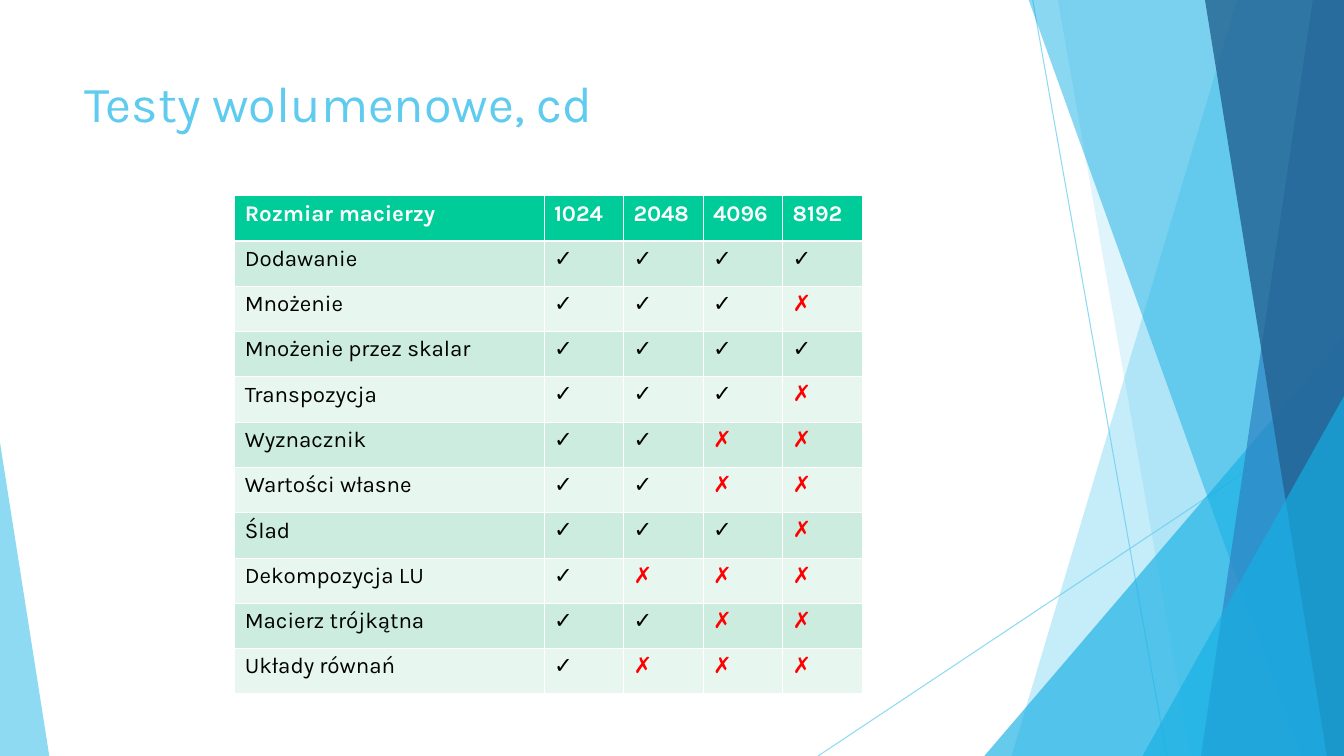
"""Build the slide with volume test results by matrix size."""
from lxml.etree import SubElement
from pptx import Presentation
from pptx.dml.color import RGBColor
from pptx.enum.shapes import MSO_CONNECTOR, MSO_SHAPE
from pptx.oxml.ns import qn
from pptx.util import Inches, Pt

TITLE = "Testy wolumenowe, cd"
HEADER = ("Rozmiar macierzy", "1024", "2048", "4096", "8192")
PASSED_SIZES = (
    ("Dodawanie", 4),
    ("Mnożenie", 3),
    ("Mnożenie przez skalar", 4),
    ("Transpozycja", 3),
    ("Wyznacznik", 2),
    ("Wartości własne", 2),
    ("Ślad", 3),
    ("Dekompozycja LU", 1),
    ("Macierz trójkątna", 2),
    ("Układy równań", 1),
)
COLORS = {
    "sky": "5FCBEF", "cyan": "17B0E4", "blue": "2E83C3", "navy": "236292",
    "header": "00CC99", "dark band": "CBECDE", "light band": "E7F6EF",
    "white": "FFFFFF", "black": "000000", "red": "FF0000",
}

# Positions below are percentages of the slide's width and height.
RAYS = ((76.84, 0, 86.81, 100), (100, 53.73, 60.87, 100))
FACETS = (
    ("panel", 92.05, 75.26, "sky", 36),
    ("panel", 78.71, 88.61, "sky", 20),
    ("triangle", 73.24, 44.4, "cyan", 66),
    ("panel", 76.54, 96.78, "cyan", 50),
    ("panel", 97.68, 89.36, "blue", 70),
    ("panel", 89.66, 98.73, "navy", 80),
    ("triangle", 85.01, 52.4, "cyan", 66),
)
LEFT_WEDGE = (0, 58.53, 3.67, 41.47)
TITLE_AREA = (5.55, 8.93, 70.46, 19.2)
TABLE_LEFT, TABLE_TOP = 17.47, 25.87
NAME_WIDTH, SIZE_WIDTH, ROW_HEIGHT = 23.01, 5.92, 5.99
THIN, THICK = 0.45, 1.47

prs = Presentation()
prs.slide_width, prs.slide_height = Inches(13.34), Inches(7.5)
slide = prs.slides.add_slide(prs.slide_layouts[6])
shapes = slide.shapes


def across(share):
    return round(prs.slide_width * share / 100)


def down(share):
    return round(prs.slide_height * share / 100)


def area(left, top, width, height):
    return across(left), down(top), across(width), down(height)


def rgb(color):
    return RGBColor.from_string(COLORS[color])


def set_alpha(fill_parent, opacity):
    color = fill_parent.find(".//" + qn("a:srgbClr"))
    SubElement(color, qn("a:alpha"), val=str(opacity * 1000))


def paint(shape, color, opacity):
    shape.shadow.inherit = False
    shape.line.fill.background()
    shape.fill.solid()
    shape.fill.fore_color.rgb = rgb(color)
    set_alpha(shape.fill._xPr, opacity)


def write(frame, text, *, size, color="black", font="Karla", bold=False):
    frame.word_wrap = True
    run = frame.paragraphs[0].add_run()
    run.text = text
    run.font.size, run.font.name, run.font.bold = Pt(size), font, bold
    run.font.color.rgb = rgb(color)


def add_ray(x1, y1, x2, y2):
    ray = shapes.add_connector(
        MSO_CONNECTOR.STRAIGHT, across(x1), down(y1), across(x2), down(y2))
    ray.line.width = Pt(0.75)
    ray.line.color.rgb = rgb("sky")
    properties = ray._element.spPr
    set_alpha(properties, 70)
    SubElement(properties, qn("a:effectLst"))


def add_triangle(bounds, apex, color, opacity):
    triangle = shapes.add_shape(MSO_SHAPE.ISOSCELES_TRIANGLE, *area(*bounds))
    triangle.adjustments[0] = apex
    paint(triangle, color, opacity)


def add_panel(top_x, bottom_x, color, opacity):
    outline = shapes.build_freeform(across(top_x), 0)
    outline.add_line_segments([
        (across(100), 0), (across(100), down(100)), (across(bottom_x), down(100))])
    paint(outline.convert_to_shape(), color, opacity)


def set_borders(cell, row):
    widths = {"a:lnL": THIN, "a:lnR": THIN,
              "a:lnT": THICK if row == 1 else THIN,
              "a:lnB": THICK if row == 0 else THIN}
    properties = cell._tc.get_or_add_tcPr()
    for side, width in widths.items():
        border = SubElement(properties, qn(side), w=str(Pt(width)))
        SubElement(SubElement(border, qn("a:solidFill")),
                   qn("a:srgbClr"), val=COLORS["white"])


def fill_cell(cell, row, text, **text_format):
    set_borders(cell, row)
    band = "header" if row == 0 else "dark band" if row % 2 else "light band"
    cell.fill.solid()
    cell.fill.fore_color.rgb = rgb(band)
    write(cell.text_frame, text, size=16, **text_format)


def add_results():
    sizes = len(HEADER) - 1
    rows = len(PASSED_SIZES) + 1
    bounds = area(TABLE_LEFT, TABLE_TOP,
                  NAME_WIDTH + sizes * SIZE_WIDTH, rows * ROW_HEIGHT)
    results = shapes.add_table(rows, len(HEADER), *bounds).table
    results.horz_banding = False
    for index, column in enumerate(results.columns):
        column.width = across(SIZE_WIDTH if index else NAME_WIDTH)
    for row in results.rows:
        row.height = down(ROW_HEIGHT)
    for column, heading in enumerate(HEADER):
        fill_cell(results.cell(0, column), 0, heading, color="white", bold=True)
    for row, (operation, passed) in enumerate(PASSED_SIZES, 1):
        fill_cell(results.cell(row, 0), row, operation)
        for column in range(1, sizes + 1):
            mark, color = ("✓", "black") if column <= passed else ("✗", "red")
            fill_cell(results.cell(row, column), row, mark,
                      color=color, font="Arial")


for ray_ends in RAYS:
    add_ray(*ray_ends)
for kind, first, second, facet_color, facet_opacity in FACETS:
    if kind == "panel":
        add_panel(first, second, facet_color, facet_opacity)
    else:
        add_triangle((first, second, 100 - first, 100 - second), 1,
                     facet_color, facet_opacity)
add_triangle(LEFT_WEDGE, 0, "sky", 70)
write(shapes.add_textbox(*area(*TITLE_AREA)).text_frame, TITLE,
      size=36, color="sky")
add_results()
prs.save("out.pptx")
